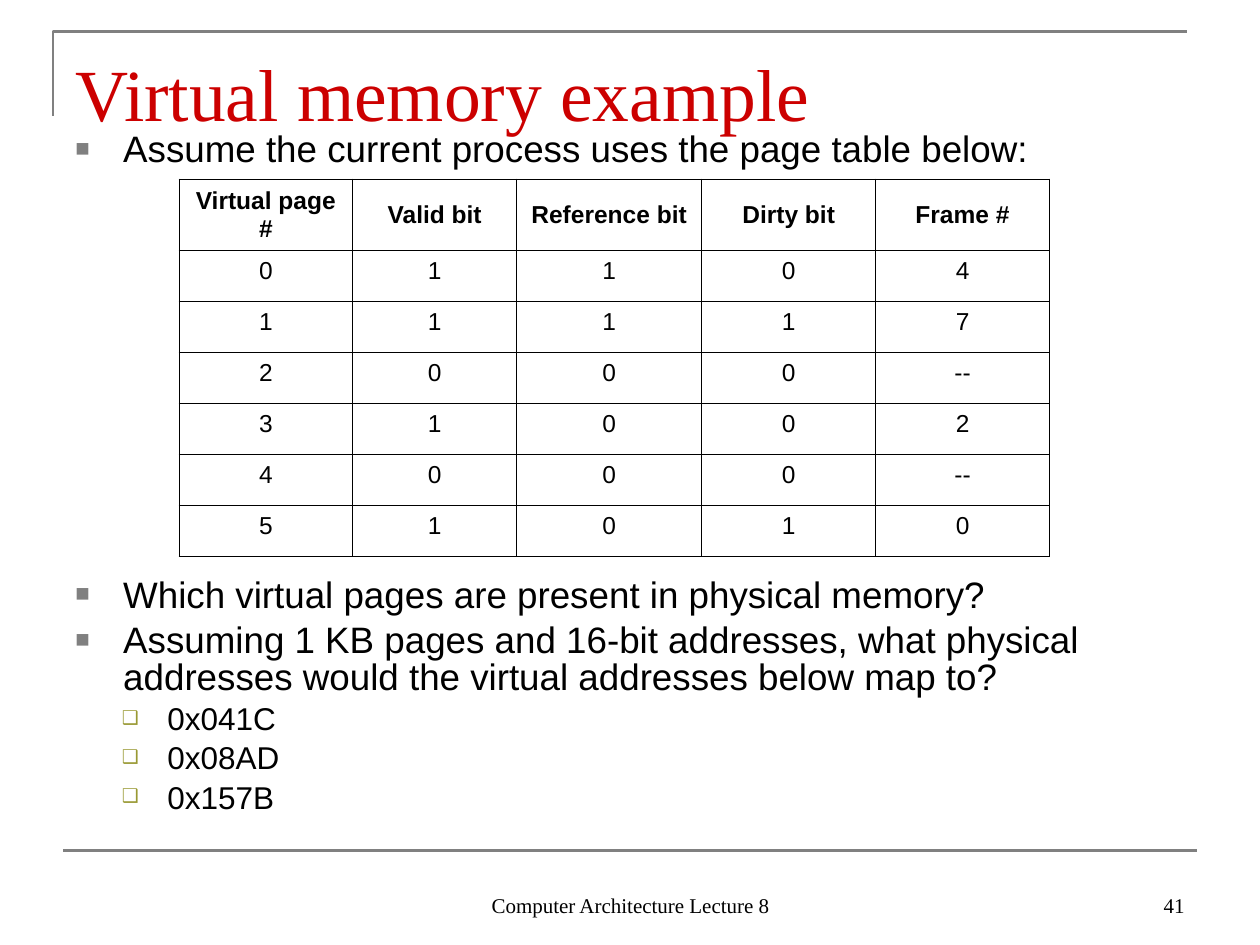
from lxml import etree
from pptx import Presentation
from pptx.dml.color import RGBColor
from pptx.enum.shapes import MSO_CONNECTOR
from pptx.enum.text import MSO_ANCHOR, PP_ALIGN
from pptx.oxml.ns import qn
from pptx.util import Inches, Pt

BLACK = RGBColor(0x00, 0x00, 0x00)
WHITE = RGBColor(0xFF, 0xFF, 0xFF)
GRAY = RGBColor(0x80, 0x80, 0x80)
RED = RGBColor(0xCC, 0x00, 0x00)
OLIVE = RGBColor(0x99, 0x99, 0x33)
SERIF, SANS = "Times New Roman", "Arial"
LEFT, CENTER, RIGHT = PP_ALIGN.LEFT, PP_ALIGN.CENTER, PP_ALIGN.RIGHT
TOP, MIDDLE, BOTTOM = MSO_ANCHOR.TOP, MSO_ANCHOR.MIDDLE, MSO_ANCHOR.BOTTOM

# Bullet levels: symbol, colour, size in %, left margin, hanging indent, text size, space before
LEVELS = [
    ("■", GRAY, 65, 0.38, 0.38, 21, 5.2),
    ("❑", OLIVE, 60, 0.73, 0.36, 18, 4.5),
]
TABLE_GAP = 233.6  # points kept free for the page table

QUESTIONS = [
    ("Assume the current process uses the page table below:", 0, 0),
    ("Which virtual pages are present in physical memory?", 0, TABLE_GAP),
    ("Assuming 1 KB pages and 16-bit addresses, what physical "
     "addresses would the virtual addresses below map to?", 0, None),
    ("0x041C", 1, None),
    ("0x08AD", 1, None),
    ("0x157B", 1, None),
]
PAGE_TABLE = [
    ("Virtual page #", "Valid bit", "Reference bit", "Dirty bit", "Frame #"),
    ("0", "1", "1", "0", "4"),
    ("1", "1", "1", "1", "7"),
    ("2", "0", "0", "0", "--"),
    ("3", "1", "0", "0", "2"),
    ("4", "0", "0", "0", "--"),
    ("5", "1", "0", "1", "0"),
]
COLUMN_WIDTHS = [1.38, 1.3, 1.47, 1.38, 1.38]
HEADER_HEIGHT, ROW_HEIGHT = 0.57, 0.405


def write(paragraph, text, size=14, font=SANS, color=BLACK, bold=False, align=LEFT):
    paragraph.alignment = align
    run = paragraph.add_run()
    run.text = text
    run.font.size = Pt(size)
    run.font.name = font
    run.font.bold = bold
    run.font.color.rgb = color


def add_bullet(paragraph, symbol, color, percent, margin, hanging):
    properties = paragraph._p.get_or_add_pPr()
    properties.set("marL", str(Inches(margin)))
    properties.set("indent", str(-Inches(hanging)))
    bullet_color = etree.SubElement(properties, qn("a:buClr"))
    etree.SubElement(bullet_color, qn("a:srgbClr"), val=str(color))
    etree.SubElement(properties, qn("a:buSzPct"), val=str(percent * 1000))
    etree.SubElement(properties, qn("a:buFont"), typeface=SANS)
    etree.SubElement(properties, qn("a:buChar"), char=symbol)


def add_borders(cell, color=BLACK, width=0.45):
    properties = cell._tc.get_or_add_tcPr()
    for index, side in enumerate(("a:lnL", "a:lnR", "a:lnT", "a:lnB")):
        border = etree.Element(qn(side), w=str(Pt(width)))
        fill = etree.SubElement(border, qn("a:solidFill"))
        etree.SubElement(fill, qn("a:srgbClr"), val=str(color))
        properties.insert(index, border)


class LectureSlide:
    rule_color = GRAY
    rule_width = Pt(1.5)

    def __init__(self, presentation):
        self.slide = presentation.slides.add_slide(presentation.slide_layouts[6])
        self.shapes = self.slide.shapes

    def style_rule(self, shape):
        shape.line.color.rgb = self.rule_color
        shape.line.width = self.rule_width

    def corner(self, left, top, right, bottom):
        builder = self.shapes.build_freeform(Inches(left), Inches(bottom))
        builder.add_line_segments(
            [(Inches(left), Inches(top)), (Inches(right), Inches(top))], close=False)
        frame = builder.convert_to_shape()
        frame.shadow.inherit = False
        frame.fill.background()
        self.style_rule(frame)

    def rule(self, left, right, y):
        line = self.shapes.add_connector(
            MSO_CONNECTOR.STRAIGHT, Inches(left), Inches(y), Inches(right), Inches(y))
        self.style_rule(line)
        etree.SubElement(line._element.spPr, qn("a:effectLst"))

    def text_frame(self, left, top, width, height, anchor):
        box = self.shapes.add_textbox(
            Inches(left), Inches(top), Inches(width), Inches(height))
        box.text_frame.word_wrap = True
        box.text_frame.vertical_anchor = anchor
        return box.text_frame

    def label(self, text, *place, anchor=BOTTOM, bottom_inset=0.05, **style):
        frame = self.text_frame(*place, anchor)
        frame.margin_bottom = Inches(bottom_inset)
        write(frame.paragraphs[0], text, font=SERIF, **style)

    def bullets(self, items, *place):
        frame = self.text_frame(*place, TOP)
        for index, (text, level, gap) in enumerate(items):
            paragraph = frame.add_paragraph() if index else frame.paragraphs[0]
            *bullet, size, space = LEVELS[level]
            add_bullet(paragraph, *bullet)
            paragraph.level = level
            paragraph.line_spacing = 0.83
            if index:
                paragraph.space_before = Pt(space if gap is None else gap)
            write(paragraph, text, size=size)

    def table(self, rows, left, top, widths):
        height = HEADER_HEIGHT + ROW_HEIGHT * (len(rows) - 1)
        table = self.shapes.add_table(
            len(rows), len(widths), Inches(left), Inches(top),
            Inches(sum(widths)), Inches(height)).table
        table.horz_banding = False
        for column, width in zip(table.columns, widths):
            column.width = Inches(width)
        for index, values in enumerate(rows):
            header = index == 0
            table.rows[index].height = Inches(HEADER_HEIGHT if header else ROW_HEIGHT)
            for cell, value in zip(table.rows[index].cells, values):
                cell.fill.solid()
                cell.fill.fore_color.rgb = WHITE
                cell.vertical_anchor = MIDDLE if header else TOP
                add_borders(cell)
                write(cell.text_frame.paragraphs[0], value, bold=header, align=CENTER)


def main():
    presentation = Presentation()
    presentation.slide_width = Inches(10)
    presentation.slide_height = Inches(7.5)
    page = LectureSlide(presentation)

    # Frame lines
    page.corner(0.42, 0.25, 9.42, 0.92)
    page.rule(0.5, 9.5, 6.75)

    # Title and questions
    page.label("Virtual memory example", 0.5, 0.3, 9, 0.78,
               bottom_inset=0, size=42, color=RED)
    page.bullets(QUESTIONS, 0.5, 1.01, 9, 5.7)

    # Footer
    page.label("Computer Architecture Lecture 8", 3.42, 6.83, 3.17, 0.5,
               size=12, align=CENTER)
    page.label("41", 7.17, 6.83, 2.33, 0.5, size=12, align=RIGHT)

    # Page table
    page.table(PAGE_TABLE, 1.42, 1.42, COLUMN_WIDTHS)

    presentation.save("out.pptx")


if __name__ == "__main__":
    main()
